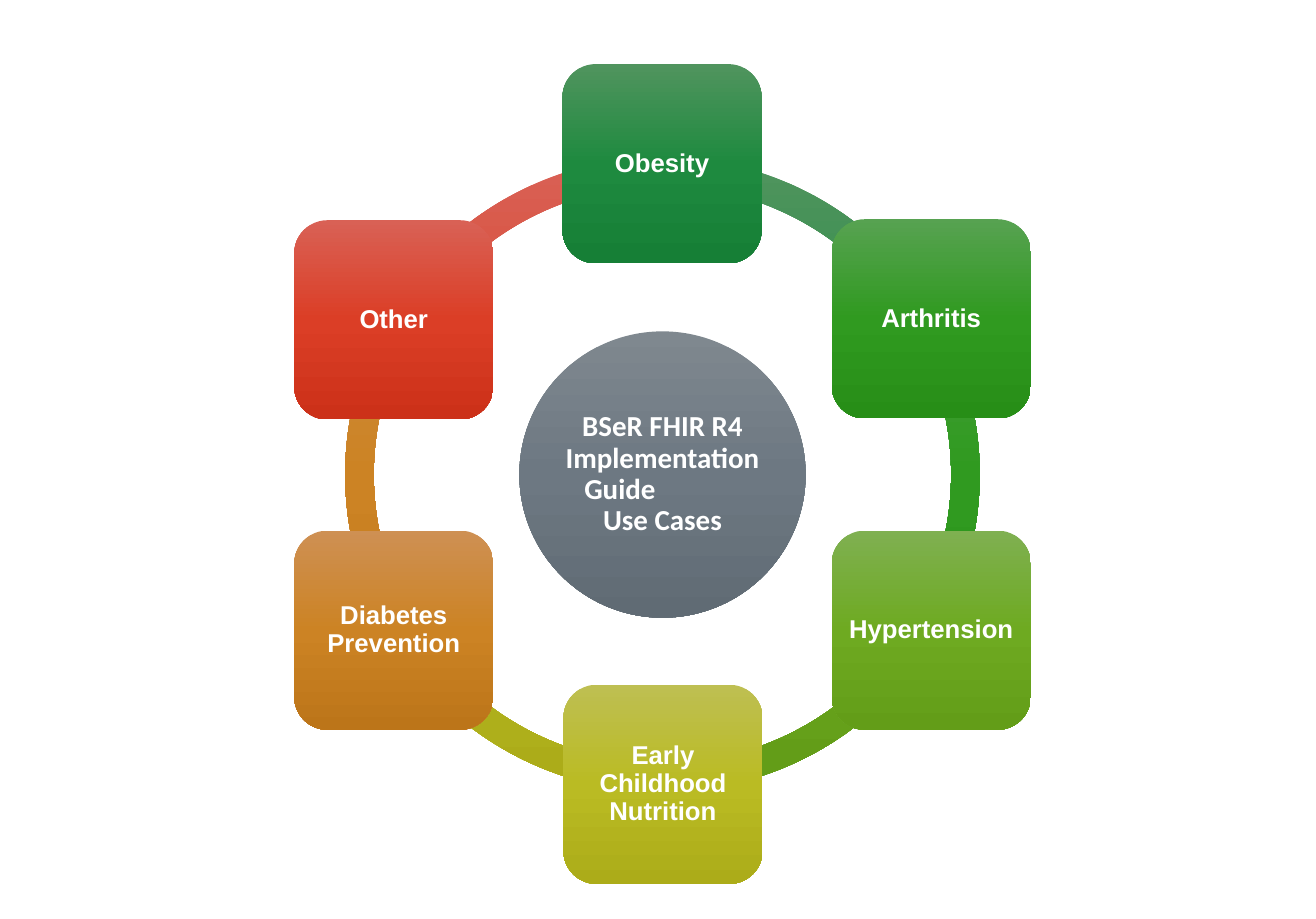
from copy import deepcopy
from math import cos, radians, sin

from pptx import Presentation
from pptx.dml.color import RGBColor
from pptx.enum.shapes import MSO_SHAPE as Shape
from pptx.enum.text import MSO_ANCHOR as Anchor, PP_ALIGN as Align
from pptx.util import Pt

EMU_PER_PX = 7896
PAGE_WIDTH, PAGE_HEIGHT = 1315, 918
CENTER_X, CENTER_Y = 662, 474
ORBIT, RING_SIZE, CARD_SIZE, HUB_SIZE = 310, 634, 199, 286
STEP = 60
ARC_UNITS_PER_DEGREE = 0.6
RING_THICKNESS = 0.045

WHITE = RGBColor(0xFF, 0xFF, 0xFF)
SLATE = RGBColor(0x7F, 0x88, 0x8F), RGBColor(0x6D, 0x78, 0x82), RGBColor(0x60, 0x6B, 0x74)
EMERALD = RGBColor(0x50, 0x94, 0x5E), RGBColor(0x1E, 0x8A, 0x3F), RGBColor(0x16, 0x7F, 0x36)
GREEN = RGBColor(0x57, 0xA2, 0x51), RGBColor(0x30, 0x9A, 0x20), RGBColor(0x27, 0x8E, 0x17)
LIME = RGBColor(0x7F, 0xB0, 0x51), RGBColor(0x6E, 0xAA, 0x21), RGBColor(0x63, 0x9D, 0x18)
OLIVE = RGBColor(0xBE, 0xBF, 0x52), RGBColor(0xBA, 0xBB, 0x23), RGBColor(0xAC, 0xAC, 0x19)
ORANGE = RGBColor(0xCE, 0x90, 0x53), RGBColor(0xCC, 0x83, 0x24), RGBColor(0xBC, 0x75, 0x19)
RED = RGBColor(0xD9, 0x61, 0x55), RGBColor(0xDB, 0x3E, 0x26), RGBColor(0xCC, 0x31, 0x19)

USE_CASES = [
    ("Obesity", EMERALD),
    ("Arthritis", GREEN),
    ("Hypertension", LIME),
    ("Early Childhood Nutrition", OLIVE),
    ("Diabetes Prevention", ORANGE),
    ("Other", RED),
]
HUB_LINES = [
    ("BSeR FHIR R4", None),
    ("Implementation", None),
    ("Guide", 20),
    ("Use Cases", None),
]


def px(length):
    return round(length) * EMU_PER_PX


class Wheel:
    def __init__(self, page):
        self.page = page

    def shape(self, kind, center_x, center_y, size, colors):
        left, top = center_x - size / 2, center_y - size / 2
        box = self.page.shapes.add_shape(kind, px(left), px(top), px(size), px(size))
        box.shadow.inherit = False
        box.line.fill.background()
        box.fill.gradient()
        box.fill.gradient_angle = 270
        first = box.fill.gradient_stops[0]._gs
        first.addnext(deepcopy(first))
        for stop, position, color in zip(box.fill.gradient_stops, (0, 0.5, 1), colors):
            stop.position = position
            stop.color.rgb = color
        return box

    def text(self, box, lines, font, size, inset):
        frame = box.text_frame
        frame.word_wrap = True
        frame.vertical_anchor = Anchor.MIDDLE
        frame.margin_left = frame.margin_right = px(inset)
        frame.margin_top = frame.margin_bottom = px(inset)
        for index, (words, indent) in enumerate(lines):
            para = frame.add_paragraph() if index else frame.paragraphs[0]
            para.line_spacing = 0.9
            para.alignment = Align.CENTER
            if indent is not None:
                para.alignment = Align.LEFT
                para._p.get_or_add_pPr().set("marL", str(px(indent)))
            span = para.add_run()
            span.text = words
            span.font.name = font
            span.font.size = Pt(size)
            span.font.bold = True
            span.font.color.rgb = WHITE

    def arc(self, start, colors):
        ring = self.shape(Shape.BLOCK_ARC, CENTER_X, CENTER_Y, RING_SIZE, colors)
        ring.adjustments[0] = start % 360 * ARC_UNITS_PER_DEGREE
        ring.adjustments[1] = (start + STEP) % 360 * ARC_UNITS_PER_DEGREE
        ring.adjustments[2] = RING_THICKNESS

    def hub(self):
        circle = self.shape(Shape.OVAL, CENTER_X, CENTER_Y, HUB_SIZE, SLATE)
        self.text(circle, HUB_LINES, "Calibri", 18, 3)

    def card(self, angle, label, colors):
        center_x = CENTER_X + ORBIT * cos(radians(angle))
        center_y = CENTER_Y + ORBIT * sin(radians(angle))
        card = self.shape(Shape.ROUNDED_RECTANGLE, center_x, center_y, CARD_SIZE, colors)
        self.text(card, [(label, None)], "Arial", 16, 2)


def main():
    deck = Presentation()
    deck.slide_width, deck.slide_height = px(PAGE_WIDTH), px(PAGE_HEIGHT)
    wheel = Wheel(deck.slides.add_slide(deck.slide_layouts[6]))
    stations = [(270 + STEP * index, *case) for index, case in enumerate(USE_CASES)]
    for angle, _, colors in reversed(stations):
        wheel.arc(angle, colors)
    wheel.hub()
    for angle, label, colors in stations:
        wheel.card(angle, label, colors)
    deck.save("out.pptx")


if __name__ == "__main__":
    main()
